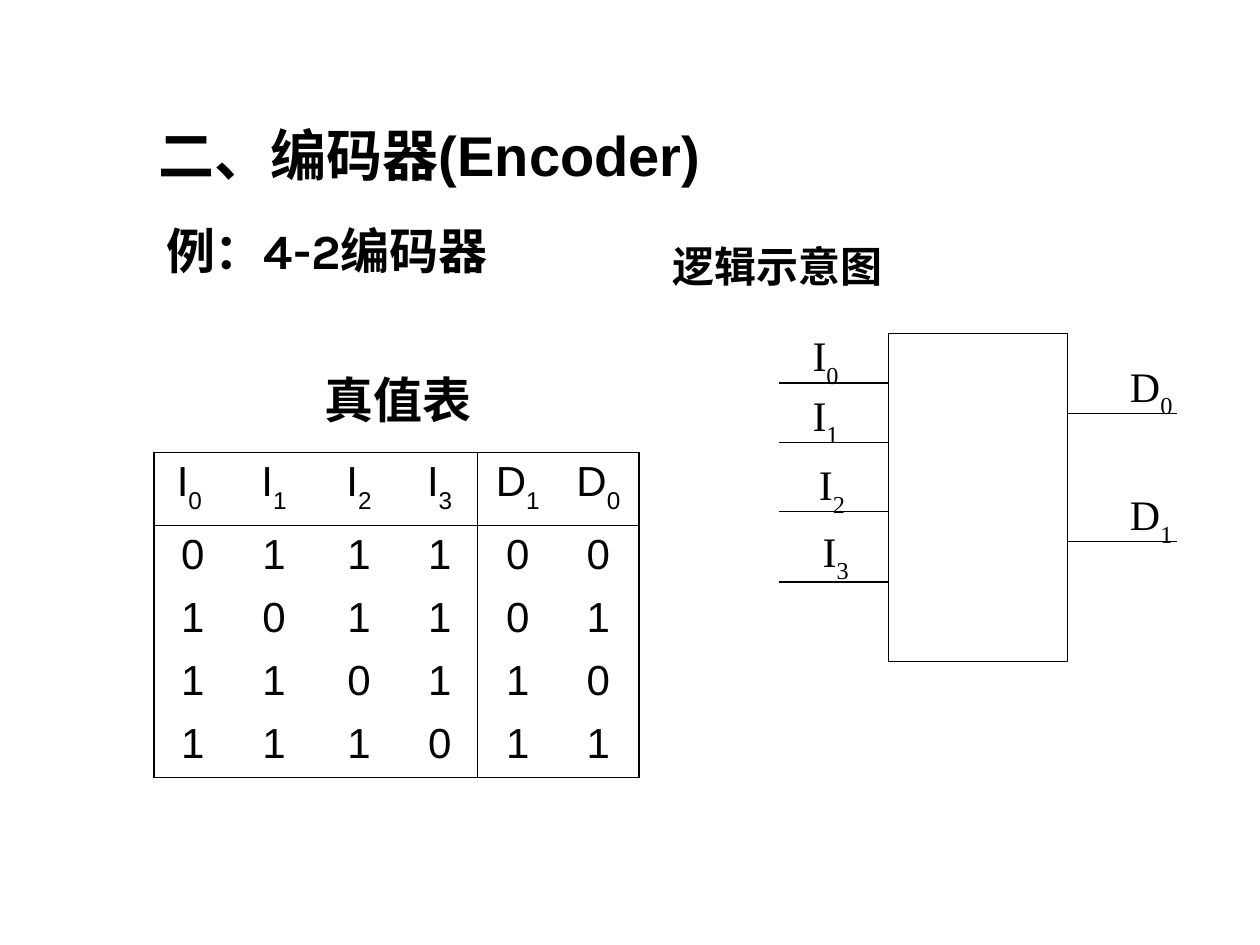
from lxml.etree import SubElement
from pptx import Presentation
from pptx.dml.color import RGBColor
from pptx.enum.shapes import MSO_CONNECTOR, MSO_SHAPE
from pptx.enum.text import MSO_ANCHOR, PP_ALIGN
from pptx.oxml.ns import qn
from pptx.util import Inches, Pt

BLACK = RGBColor(0x00, 0x00, 0x00)
THICK, THIN, WIRE = 1.08, 0.45, 0.75

SYMBOLS = [("I", "0 "), ("I", "1"), ("I", "2"), ("I", "3"), ("D", "1"), ("D", "0")]
TRUTH_ROWS = ["011100", "101101", "110110", "111011"]
COLUMN_WIDTHS = [0.62, 0.67, 0.68, 0.6, 0.64, 0.64]
ROW_HEIGHTS = [0.58, 0.5, 0.5, 0.5, 0.5]
INPUT_COUNT = 4


def add_run(paragraph, text, subscript=False, **formats):
    run = paragraph.add_run()
    run.text = text
    run.font.color.rgb = BLACK
    for name, value in formats.items():
        setattr(run.font, name, value)
    if subscript:
        run.font._element.set("baseline", "-30000")


def add_symbol(paragraph, letter, index, **formats):
    """Write a letter followed by its index as a subscript."""
    add_run(paragraph, letter, **formats)
    add_run(paragraph, index, subscript=True, **formats)


def add_text_frame(shapes, box, wrap=True, anchor=MSO_ANCHOR.TOP):
    frame = shapes.add_textbox(*map(Inches, box)).text_frame
    frame.word_wrap = wrap
    frame.vertical_anchor = anchor
    return frame


def add_heading(shapes, box, text, size, font="Karla", **frame_options):
    frame = add_text_frame(shapes, box, **frame_options)
    add_run(frame.paragraphs[0], text, size=Pt(size), name=font, bold=True)


def set_border(cell, side, width):
    """Draw one side (L, R, T or B) of a cell; no width means no line."""
    border = SubElement(cell._tc.get_or_add_tcPr(), qn(f"a:ln{side}"))
    if width is None:
        SubElement(border, qn("a:noFill"))
        return
    border.set("w", str(Pt(width)))
    fill = SubElement(border, qn("a:solidFill"))
    SubElement(fill, qn("a:srgbClr"), val=str(BLACK))


def add_truth_table(shapes, left, top):
    row_count, column_count = len(ROW_HEIGHTS), len(COLUMN_WIDTHS)
    table = shapes.add_table(
        row_count, column_count, Inches(left), Inches(top),
        Inches(sum(COLUMN_WIDTHS)), Inches(sum(ROW_HEIGHTS))).table
    table.first_row = table.horz_banding = False
    for column, width in zip(table.columns, COLUMN_WIDTHS):
        column.width = Inches(width)
    for row, height in zip(table.rows, ROW_HEIGHTS):
        row.height = Inches(height)

    # Widths of the ruled lines, by the number of the grid line
    vertical = {0: THICK, INPUT_COUNT: THIN, column_count: THICK}
    horizontal = {0: THICK, 1: THIN, row_count: THICK}
    formats = {"size": Pt(24), "name": "Arial"}
    for r in range(row_count):
        for c in range(column_count):
            cell = table.cell(r, c)
            paragraph = cell.text_frame.paragraphs[0]
            paragraph.alignment = PP_ALIGN.CENTER
            if r == 0:
                add_symbol(paragraph, *SYMBOLS[c], **formats)
            else:
                add_run(paragraph, TRUTH_ROWS[r - 1][c], **formats)
            borders = {"L": vertical.get(c), "R": vertical.get(c + 1),
                       "T": horizontal.get(r), "B": horizontal.get(r + 1)}
            for side, width in borders.items():
                set_border(cell, side, width)
            cell.fill.background()


def add_wire(shapes, start, end, y):
    wire = shapes.add_connector(
        MSO_CONNECTOR.STRAIGHT, Inches(start), Inches(y), Inches(end), Inches(y))
    wire.line.color.rgb = BLACK
    wire.line.width = Pt(WIRE)
    SubElement(wire._element.spPr, qn("a:effectLst"))


def add_logic_symbol(shapes, left, top, width, height):
    """Draw the encoder block with its input and output pins."""
    group = shapes.add_group_shape().shapes
    block = group.add_shape(
        MSO_SHAPE.RECTANGLE, *map(Inches, (left, top, width, height)))
    block.shadow.inherit = False
    block.fill.background()
    block.line.color.rgb = BLACK
    block.line.width = Pt(WIRE)

    right, lead = left + width, 0.87
    # Per pin: wire height, then label left and top, all from the block's corner
    pins = {
        "I": [(0.39, -0.7, -0.08), (0.86, -0.7, 0.39),
              (1.41, -0.65, 0.94), (1.97, -0.62, 1.47)],
        "D": [(0.63, 1.82, 0.16), (1.65, 1.82, 1.18)],
    }
    wire_spans = {"I": (left - lead, left), "D": (right, right + lead)}
    label_widths = {"I": 0.41, "D": 0.54}
    for letter, places in pins.items():
        for index, (wire_y, label_x, label_y) in enumerate(places):
            add_wire(group, *wire_spans[letter], top + wire_y)
            box = (left + label_x, top + label_y, label_widths[letter], 0.57)
            label = add_text_frame(group, box, wrap=False)
            add_symbol(label.paragraphs[0], letter, str(index),
                       size=Pt(24), name="Times New Roman")


def main():
    presentation = Presentation()
    presentation.slide_width = Inches(10)
    presentation.slide_height = Inches(7.5)
    shapes = presentation.slides.add_slide(presentation.slide_layouts[6]).shapes

    add_heading(shapes, (1.16, 0.91, 4.61, 0.64), "二、编码器(Encoder)", 32,
                font="Arial", wrap=False)
    add_heading(shapes, (2.48, 2.88, 1.42, 0.57), "真值表", 28)
    add_truth_table(shapes, 1.22, 3.59)
    add_heading(shapes, (1.22, 1.7, 3.56, 0.57), "例：4-2编码器", 28,
                anchor=MSO_ANCHOR.MIDDLE)
    add_logic_symbol(shapes, 7.05, 2.65, 1.42, 2.6)
    add_heading(shapes, (5.24, 1.86, 2.28, 0.5), "逻辑示意图", 24)

    presentation.save("out.pptx")


if __name__ == "__main__":
    main()
